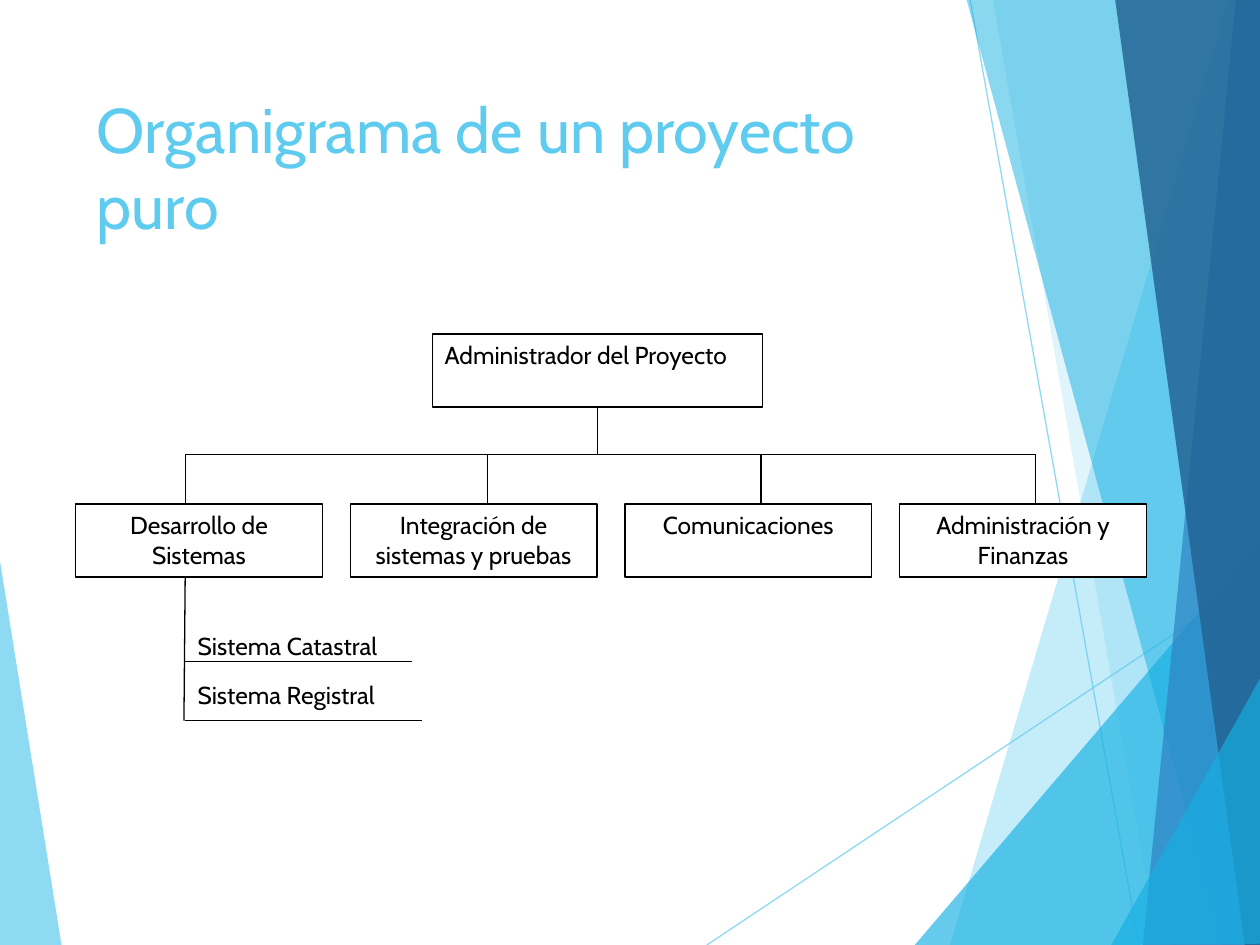
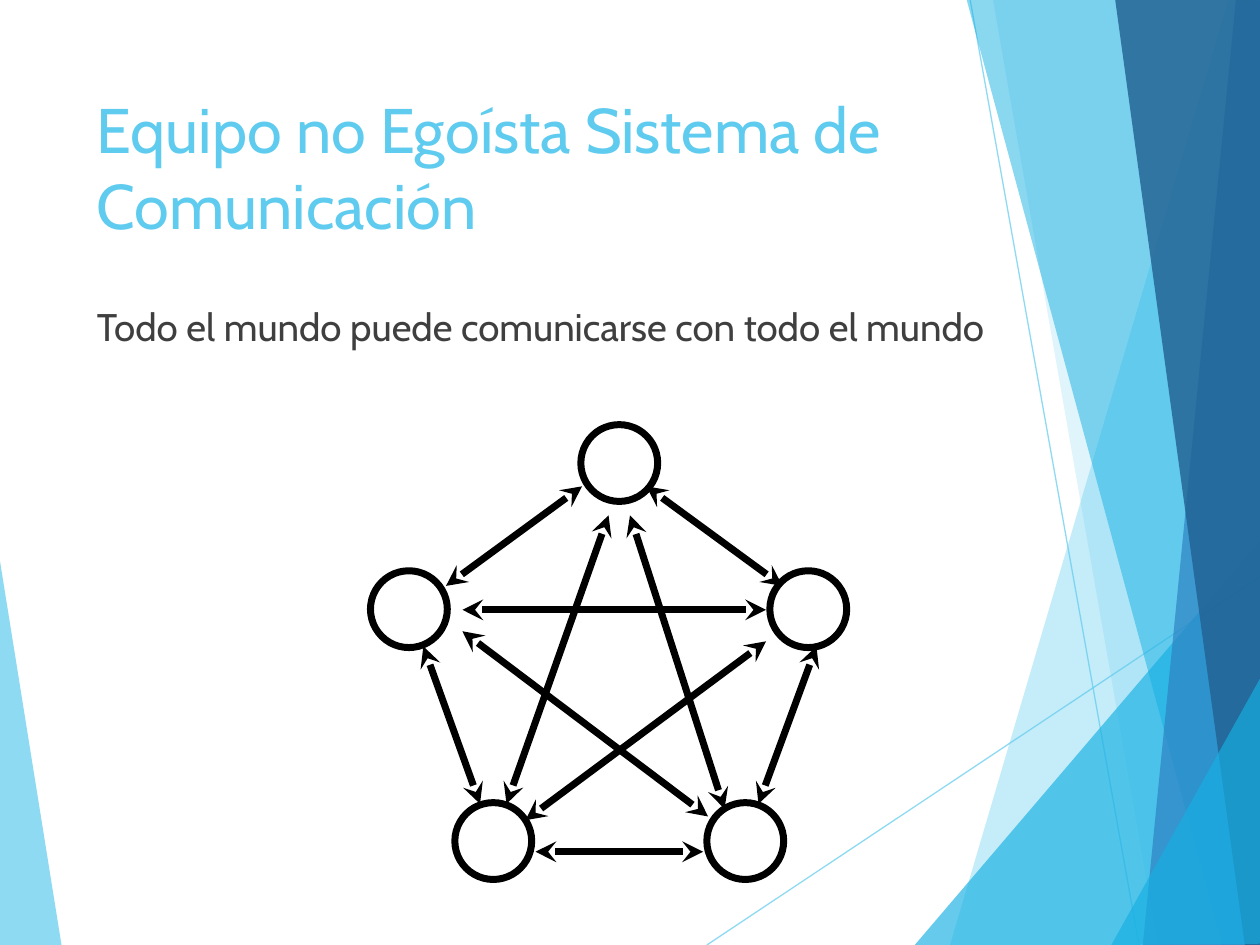
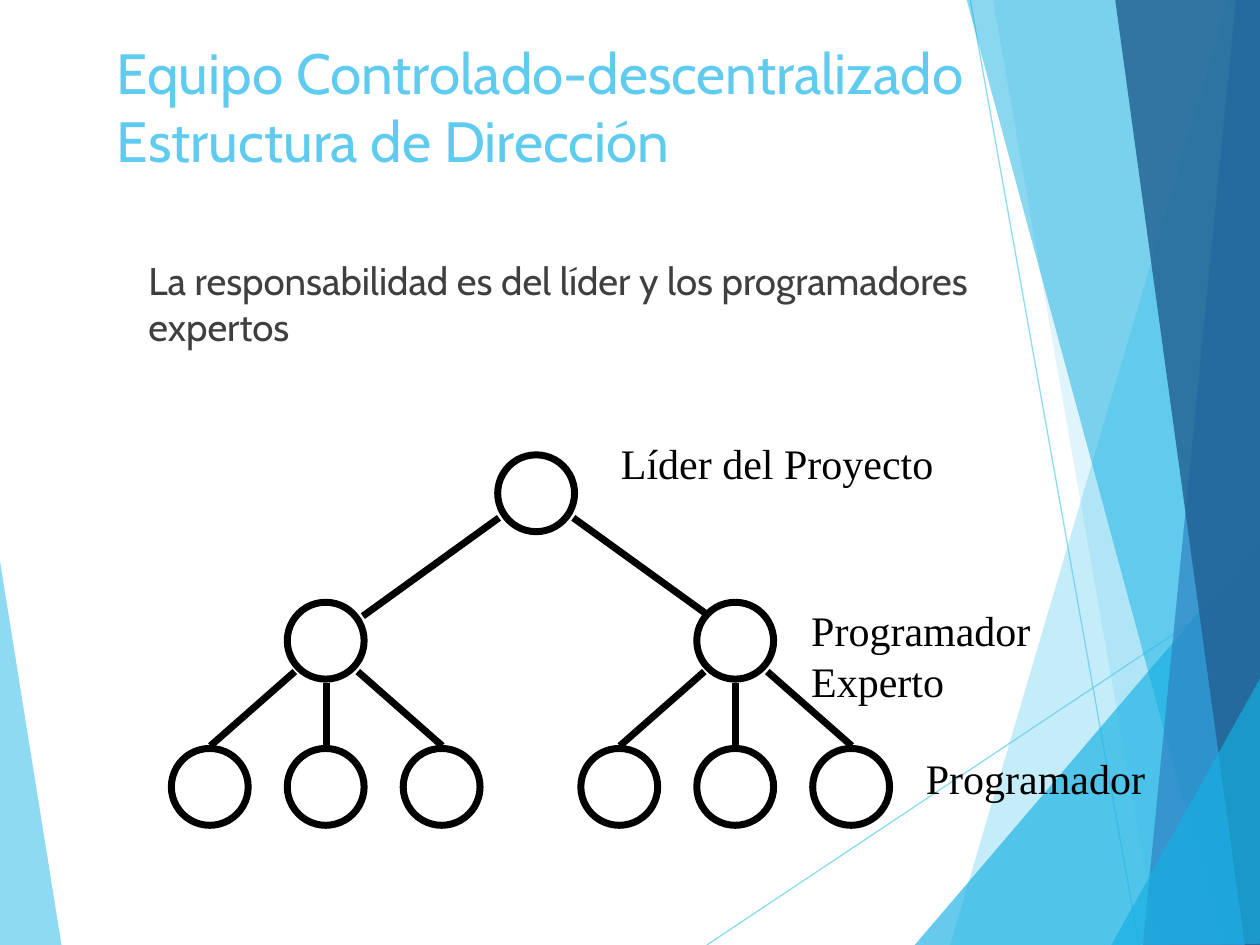
from itertools import combinations
from typing import NamedTuple, Optional

from lxml import etree
from pptx import Presentation
from pptx import util as u
from pptx.dml import color
from pptx.enum import shapes, text
from pptx.oxml import ns

PX = 9144
COLORS = {
    "sky": "5FCBEF",
    "cyan": "16B0E3",
    "blue": "2E83C3",
    "navy": "226292",
    "black": "000000",
    "gray": "3F3F3F",
    "white": "FFFFFF",
}
SANS = "Cabin"
SERIF = "Times New Roman"
THIN = 0.75
THICK = 4
CIRCLE = 61
FRAME_FORMAT = {
    "word_wrap": True,
    "auto_size": text.MSO_AUTO_SIZE.NONE,
    "vertical_anchor": text.MSO_ANCHOR.TOP,
    "margin_left": 10 * PX,
    "margin_right": 10 * PX,
    "margin_top": 5 * PX,
    "margin_bottom": 5 * PX,
}


class Point(NamedTuple):
    x: int
    y: int


class Box(NamedTuple):
    left: int
    top: int
    width: int
    height: int


class Style(NamedTuple):
    size: float
    font: str = SANS
    color: str = "black"
    align: text.PP_ALIGN = text.PP_ALIGN.LEFT


class Facet(NamedTuple):
    points: tuple
    color: str
    alpha: int


class Label(NamedTuple):
    words: str
    box: Box


TITLE = Style(36, color="sky")
SMALL_TITLE = Style(32.4, color="sky")
BODY = Style(22, color="gray")
CHART_TEXT = Style(14)
CHART_CENTERED = Style(14, align=text.PP_ALIGN.CENTER)
ROLE = Style(24, SERIF)
TITLE_BOX = Box(67, 67, 694, 144)

LEFT_FACET = Facet(((-1, 439), (49, 751), (-1, 750)), "sky", 70)
RAYS = ((Point(561, 750), Point(1001, 457)), (Point(770, 0), Point(904, 750)))
RIGHT_FACETS = (
    Facet(((975, 0), (754, 750), (1002, 751), (1001, 1)), "sky", 36),
    Facet(((788, -1), (919, 750), (1001, 750), (1001, -1)), "sky", 20),
    Facet(((726, 750), (1000, 429), (1001, 750)), "cyan", 66),
    Facet(((767, -1), (970, 750), (1001, 749), (1001, -1)), "cyan", 50),
    Facet(((981, -1), (907, 750), (1001, 750), (1000, -1)), "blue", 70),
    Facet(((885, -1), (988, 750), (1002, 750), (1000, -1)), "navy", 82),
    Facet(((882, 750), (1002, 535), (1002, 749)), "cyan", 66),
)


def rgb(name: str) -> color.RGBColor:
    return color.RGBColor.from_string(COLORS[name])


def emu(lengths) -> list:
    return [u.Emu(length * PX) for length in lengths]


def fade(shape, alpha: int) -> None:
    for tint in shape.element.iter(ns.qn("a:srgbClr")):
        etree.SubElement(tint, ns.qn("a:alpha"), val=str(alpha * 1000))


def write(shape, words: str, style: Style) -> None:
    frame = shape.text_frame
    for name, value in FRAME_FORMAT.items():
        setattr(frame, name, value)
    paragraph = frame.paragraphs[0]
    paragraph.text = words
    paragraph.alignment = style.align
    for run in paragraph.runs:
        font_format = {"name": style.font, "size": u.Pt(style.size), "bold": False}
        for name, value in font_format.items():
            setattr(run.font, name, value)
        run.font.color.rgb = rgb(style.color)


def add_text(slide, words: str, box: Box, style: Style) -> None:
    write(slide.shapes.add_textbox(*emu(box)), words, style)


def add_outline(slide, kind, box: Box, width: float, fill: Optional[str] = None):
    shape = slide.shapes.add_shape(kind, *emu(box))
    shape.shadow.inherit = False
    if fill:
        shape.fill.solid()
        shape.fill.fore_color.rgb = rgb(fill)
    else:
        shape.fill.background()
    shape.line.color.rgb = rgb("black")
    shape.line.width = u.Pt(width)
    return shape


def add_box(slide, label: Label, style: Style):
    shape = add_outline(slide, shapes.MSO_SHAPE.RECTANGLE, label.box, THIN, "white")
    write(shape, label.words, style)
    return shape


def add_circle(slide, corner: Point) -> None:
    box = Box(corner.x, corner.y, CIRCLE, CIRCLE)
    add_outline(slide, shapes.MSO_SHAPE.OVAL, box, THICK)


def add_line(slide, start: Point, end: Point, width: float,
             tint: str = "black", arrows: bool = False):
    connector = slide.shapes.add_connector(
        shapes.MSO_CONNECTOR.STRAIGHT, *emu(start + end))
    connector.line.color.rgb = rgb(tint)
    connector.line.width = u.Pt(width)
    if arrows:
        line = connector.element.find(".//" + ns.qn("a:ln"))
        for tip in ("a:headEnd", "a:tailEnd"):
            etree.SubElement(line, ns.qn(tip), type="stealth")
    etree.SubElement(connector.element.spPr, ns.qn("a:effectLst"))
    return connector


def add_facet(slide, facet: Facet) -> None:
    builder = slide.shapes.build_freeform(*facet.points[0], scale=PX)
    builder.add_line_segments(facet.points[1:], close=True)
    shape = builder.convert_to_shape()
    shape.shadow.inherit = False
    shape.fill.solid()
    shape.fill.fore_color.rgb = rgb(facet.color)
    shape.line.fill.background()
    fade(shape, facet.alpha)


def new_slide(presentation):
    slide = presentation.slides.add_slide(presentation.slide_layouts[6])
    add_facet(slide, LEFT_FACET)
    for start, end in RAYS:
        fade(add_line(slide, start, end, THIN, "sky"), 70)
    for facet in RIGHT_FACETS:
        add_facet(slide, facet)
    return slide


def build_project_chart(presentation) -> None:
    slide = new_slide(presentation)
    add_text(slide, "Organigrama de un proyecto puro", TITLE_BOX, TITLE)
    manager = add_box(
        slide, Label("Administrador del Proyecto", Box(343, 265, 262, 58)), CHART_TEXT)
    departments = (
        "Desarrollo de Sistemas",
        "Integración de sistemas y pruebas",
        "Comunicaciones",
        "Administración y Finanzas",
    )
    for index, words in enumerate(departments):
        box = Box(60 + 218 * index, 400, 196, 58)
        add_box(slide, Label(words, box), CHART_CENTERED)

    bus, trunk = 361, 147
    stem = add_line(slide, Point(474, 323), Point(474, bus), THIN)
    stem.begin_connect(manager, 2)
    add_line(slide, Point(trunk, bus), Point(822, bus), THIN)
    for x in (trunk, 387, 604, 822):
        add_line(slide, Point(x, bus), Point(x, 400), THIN)

    add_line(slide, Point(trunk, 458), Point(146, 572), THIN)
    systems = (
        (Label("Sistema Catastral", Box(trunk, 496, 218, 39)), Point(327, 525)),
        (Label("Sistema Registral", Box(trunk, 535, 283, 39)), Point(335, 572)),
    )
    for label, end in systems:
        add_text(slide, label.words, label.box, CHART_TEXT)
        add_line(slide, Point(trunk, end.y), end, THIN)


def build_open_team(presentation) -> None:
    slide = new_slide(presentation)
    members = {
        "top": Point(461, 337),
        "right": Point(611, 453),
        "left": Point(294, 453),
        "lower_right": Point(561, 637),
        "lower_left": Point(361, 637),
    }
    links = {
        ("top", "right"): (Point(621, 465), Point(513, 386)),
        ("top", "left"): (Point(354, 465), Point(462, 386)),
        ("top", "lower_right"): (Point(500, 409), Point(575, 642)),
        ("top", "lower_left"): (Point(483, 409), Point(402, 638)),
        ("right", "left"): (Point(367, 484), Point(608, 484)),
        ("right", "lower_right"): (Point(648, 513), Point(602, 638)),
        ("right", "lower_left"): (Point(417, 651), Point(608, 509)),
        ("left", "lower_right"): (Point(562, 648), Point(367, 501)),
        ("left", "lower_left"): (Point(336, 513), Point(381, 638)),
        ("lower_right", "lower_left"): (Point(425, 676), Point(558, 676)),
    }
    for corner in members.values():
        add_circle(slide, corner)
    for pair in combinations(members, 2):
        add_line(slide, *links[pair], THICK, arrows=True)
    add_text(slide, "Equipo no Egoísta Sistema de Comunicación", TITLE_BOX, TITLE)
    add_text(slide, "Todo el mundo puede comunicarse con todo el mundo",
             Box(67, 236, 772, 424), BODY)


def build_led_team(presentation) -> None:
    slide = new_slide(presentation)
    add_circle(slide, Point(395, 361))
    add_line(slide, Point(288, 489), Point(396, 411), THICK)
    add_line(slide, Point(563, 489), Point(455, 411), THICK)
    for expert in (Point(228, 478), Point(553, 478)):
        add_circle(slide, expert)
        center = expert.x + CIRCLE // 2 + 1
        for side in (-1, 0, 1):
            add_circle(slide, Point(expert.x + 92 * side, 594))
            start = Point(center + 25 * side, 533 if side else 542)
            add_line(slide, start, Point(center + 92 * side, 592), THICK)

    roles = (
        Label("Líder del Proyecto", Box(483, 342, 392, 50)),
        Label("Programador Experto", Box(634, 475, 267, 90)),
        Label("Programador", Box(725, 592, 258, 50)),
    )
    for role in roles:
        add_text(slide, role.words, role.box, ROLE)
    add_text(slide, "Equipo Controlado-descentralizado\vEstructura de Dirección",
             Box(83, 25, 917, 125), SMALL_TITLE)
    add_text(slide, "La responsabilidad es del líder y los programadores expertos",
             Box(108, 199, 750, 424), BODY)


def main() -> None:
    presentation = Presentation()
    presentation.slide_width, presentation.slide_height = emu((1000, 750))
    for build in (build_project_chart, build_open_team, build_led_team):
        build(presentation)
    presentation.save("out.pptx")


if __name__ == "__main__":
    main()
